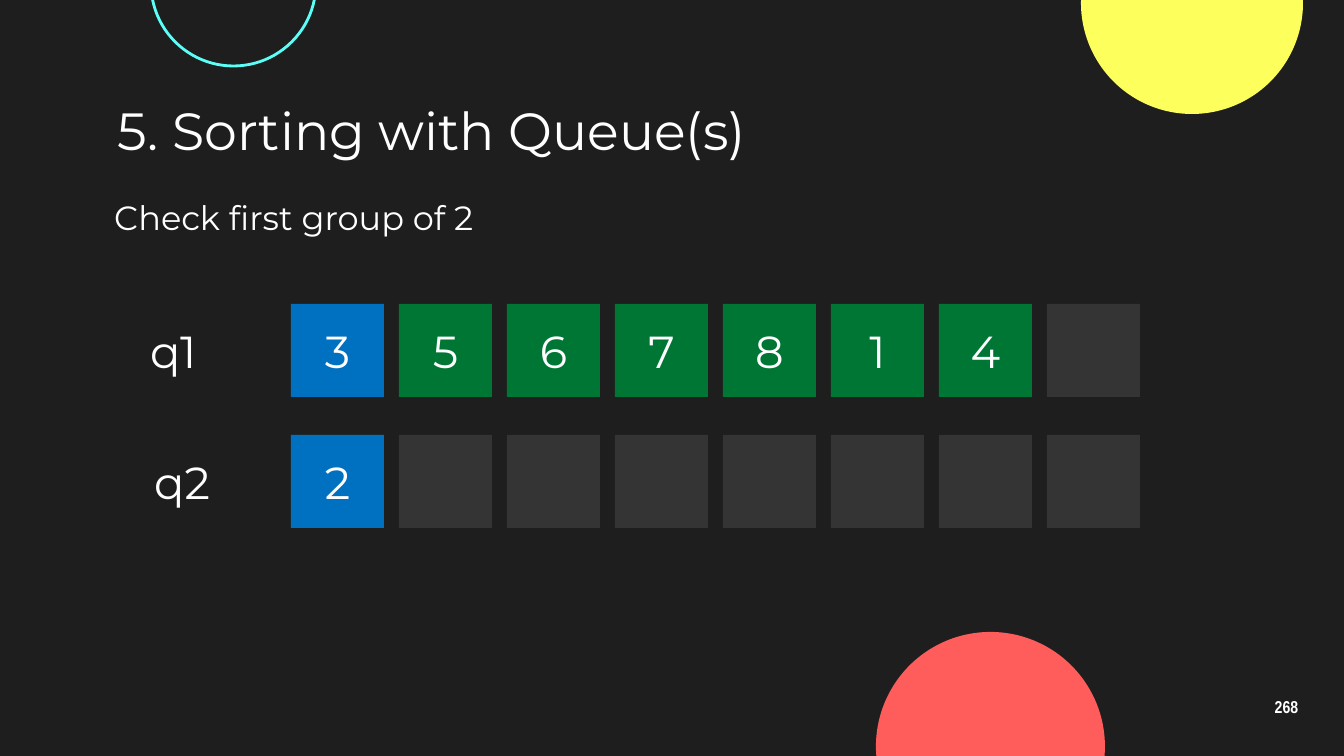
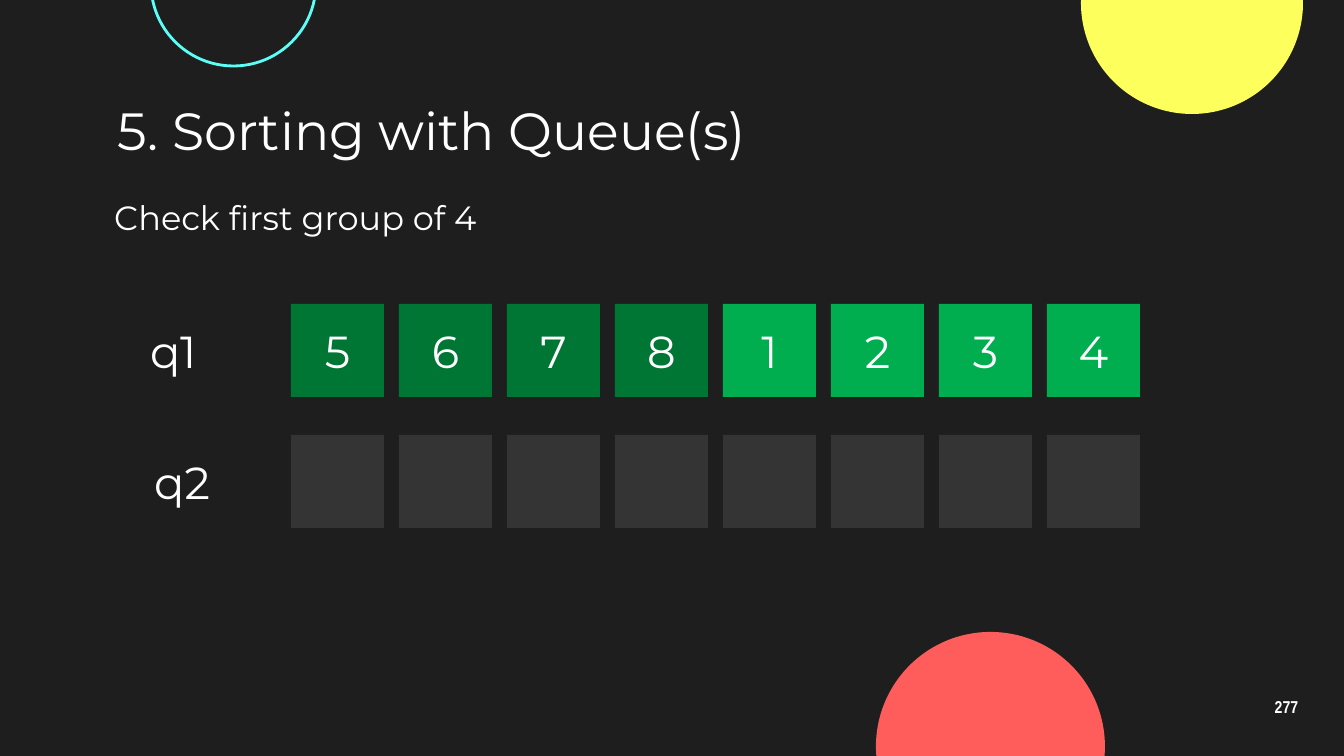
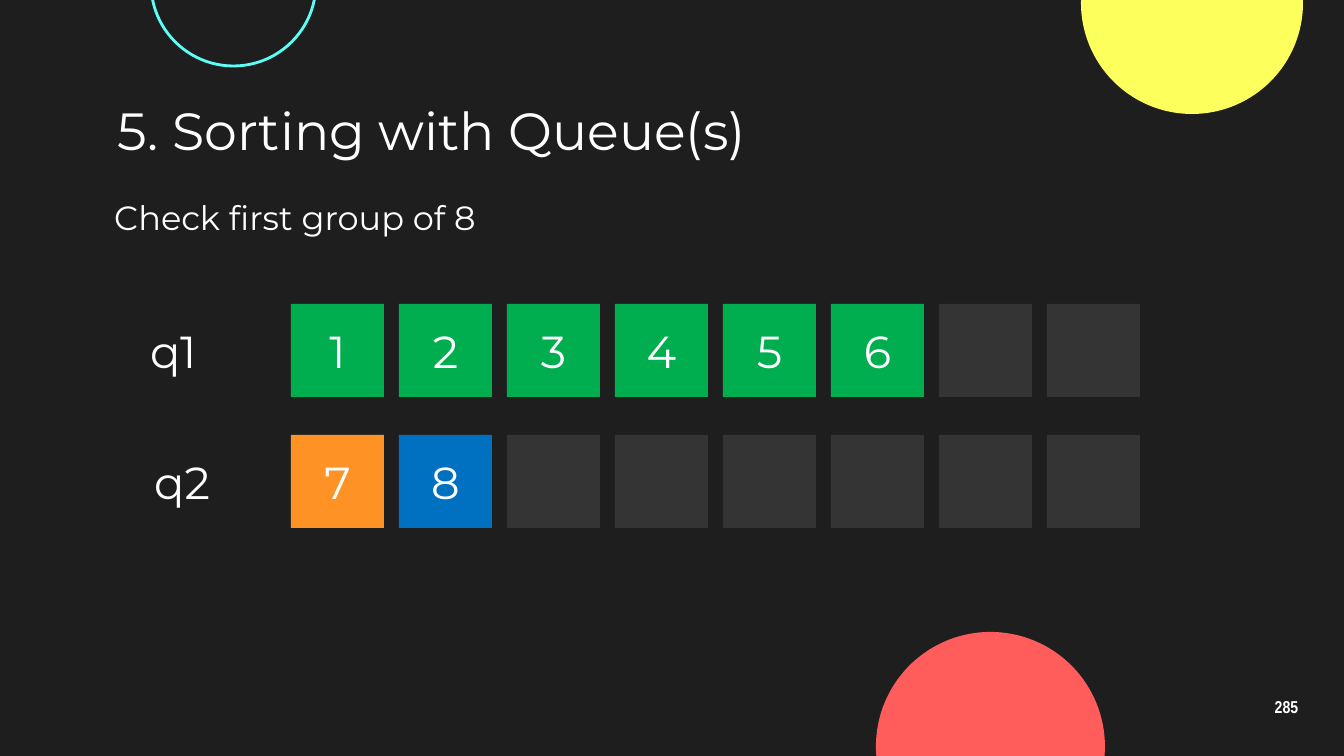
from pptx import Presentation
from pptx.dml.color import RGBColor
from pptx.enum.shapes import MSO_SHAPE as SHAPE
from pptx.enum.text import MSO_ANCHOR as ANCHOR, PP_ALIGN as ALIGN
from pptx.util import Emu, Pt

SLIDE_W, SLIDE_H = 1344, 756
EMU_PER_PX = 914400 * 10 / SLIDE_W

BACKGROUND, WHITE, EMPTY = "1E1E1E", "FFFFFF", "343434"
YELLOW, CYAN, CORAL = "FDFF5C", "5CFFF8", "FF5C5C"
BLUE, ORANGE, DARK_GREEN, GREEN = "0070C0", "FF9225", "007635", "00AE4F"

TITLE = "5. Sorting with Queue(s)"
TITLE_FORMAT = {"size": Pt(28), "name": "Montserrat"}
SUBTITLE_FORMAT = {"size": Pt(18), "name": "Montserrat"}
QUEUE_FORMAT = {"size": Pt(24), "name": "Montserrat"}
NUMBER_FORMAT = {"size": Pt(9.2), "name": "Arial Narrow", "bold": True}

SLOTS, SLOT_LEFT, SLOT_SIDE, SLOT_PITCH = 8, 291, 93, 108
# name, label left, row top
QUEUES = [("q1", 137, 304), ("q2", 141, 435)]

# slide number, group size, then for each queue its runs of (digits, colour)
STEPS = [
    (268, 2, [[("3", BLUE), ("567814", DARK_GREEN)], [("2", BLUE)]]),
    (277, 4, [[("5678", DARK_GREEN), ("1234", GREEN)], []]),
    (285, 8, [[("123456", GREEN)], [("7", ORANGE), ("8", BLUE)]]),
]


def px(*lengths):
    return [Emu(round(n * EMU_PER_PX)) for n in lengths]


def rgb(color):
    return RGBColor.from_string(color)


def write(s, text, font, align=ALIGN.LEFT, anchor=ANCHOR.MIDDLE):
    tf = s.text_frame
    tf.word_wrap = True
    tf.vertical_anchor = anchor
    p = tf.paragraphs[0]
    p.alignment = align
    r = p.add_run()
    r.text = text
    for key, value in font.items():
        setattr(r.font, key, value)
    r.font.color.rgb = rgb(WHITE)
    return p


def add_text(slide, box, text, font, inset=None, **layout):
    s = slide.shapes.add_textbox(*px(*box))
    if inset is not None:
        for side in ("left", "top", "right", "bottom"):
            setattr(s.text_frame, f"margin_{side}", px(inset)[0])
    return write(s, text, font, **layout)


def add_shape(slide, kind, left, top, side, fill=None, line=None):
    s = slide.shapes.add_shape(kind, *px(left, top, side, side))
    s.shadow.inherit = False
    if fill:
        s.fill.solid()
        s.fill.fore_color.rgb = rgb(fill)
    else:
        s.fill.background()
    if line:
        s.line.color.rgb = rgb(line)
        s.line.width = Pt(1.5)
    else:
        s.line.fill.background()
    return s


def add_frame(slide, number):
    """Draw the circles, title and slide number that every slide carries."""
    add_shape(slide, SHAPE.OVAL, 1081, -108, 222, fill=YELLOW)
    add_shape(slide, SHAPE.OVAL, 151, -99, 165, line=CYAN)
    add_shape(slide, SHAPE.OVAL, 876, 632, 229, fill=CORAL)
    add_text(slide, (105, 95, 1134, 69), TITLE, TITLE_FORMAT, inset=13)
    p = add_text(slide, (1246, 685, 81, 46), str(number), NUMBER_FORMAT,
                 inset=13, align=ALIGN.CENTER)
    p.line_spacing = 0.9


def add_queue(slide, name, label_left, top, runs):
    add_text(slide, (label_left, top + 13, 181, 67), name, QUEUE_FORMAT,
             anchor=ANCHOR.TOP)
    cells = [(digit, color) for digits, color in runs for digit in digits]
    cells += [("", EMPTY)] * (SLOTS - len(cells))
    for i, (digit, color) in enumerate(cells):
        s = add_shape(slide, SHAPE.RECTANGLE, SLOT_LEFT + i * SLOT_PITCH, top,
                      SLOT_SIDE, fill=color)
        if digit:
            write(s, digit, QUEUE_FORMAT, align=ALIGN.CENTER)


def main():
    prs = Presentation()
    prs.slide_width, prs.slide_height = px(SLIDE_W, SLIDE_H)
    fill = prs.slide_master.background.fill
    fill.solid()
    fill.fore_color.rgb = rgb(BACKGROUND)
    blank = prs.slide_layouts[6]
    for number, size, contents in STEPS:
        slide = prs.slides.add_slide(blank)
        add_frame(slide, number)
        add_text(slide, (101, 190, 485, 54), f"Check first group of {size}",
                 SUBTITLE_FORMAT, anchor=ANCHOR.TOP)
        for queue, runs in zip(QUEUES, contents):
            add_queue(slide, *queue, runs)
    prs.save("out.pptx")


if __name__ == "__main__":
    main()
